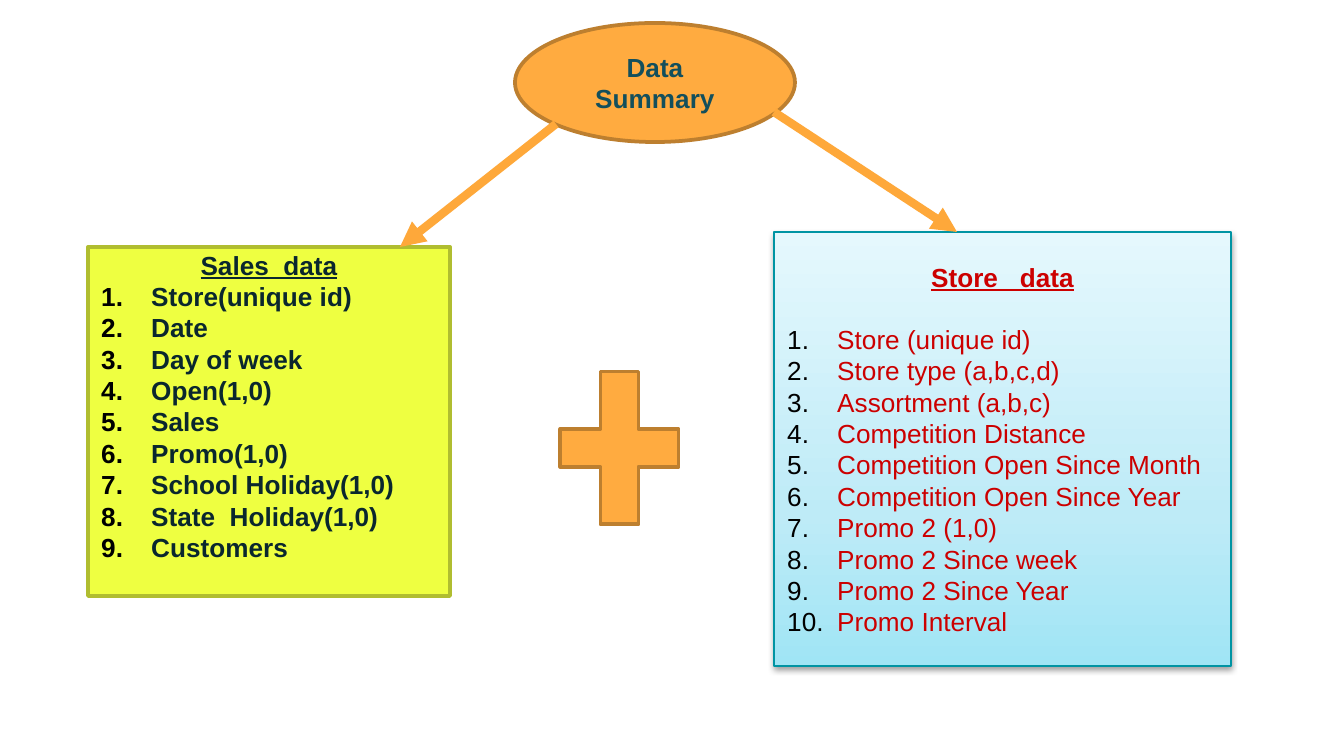
"""Build a slide that splits a data summary into sales and store fields."""
from copy import deepcopy
from dataclasses import dataclass

from lxml.etree import SubElement
from pptx import Presentation
from pptx.dml.color import RGBColor
from pptx.enum.shapes import MSO_CONNECTOR, MSO_SHAPE
from pptx.enum.text import MSO_ANCHOR, PP_ALIGN
from pptx.oxml.ns import qn
from pptx.util import Emu, Pt


@dataclass(frozen=True)
class Theme:
    font: str = "Arial"
    text_size: int = 14
    outline: float = 2
    thin_outline: float = 0.75
    arrow_width: float = 4.5
    orange: str = "FFAB40"
    orange_edge: str = "BD7F2F"
    arrow: str = "FEA83A"
    teal: str = "134F5C"
    lime: str = "EEFF41"
    lime_edge: str = "B0BD30"
    dark_teal: str = "0A272E"
    red: str = "CC0000"
    cyan_edge: str = "0094A3"
    black: str = "000000"
    cyan_stops: tuple = ((0, "A0E5F5"), (0.35, "BEEBF7"), (1, "E5F8FD"))


THEME = Theme()
EMU_PER_PX = 914400 / 134.4
LIST_INDENT = 50
LINE_HEIGHT = 31

SALES_FIELDS = [
    "Store(unique id)", "Date", "Day of week", "Open(1,0)", "Sales",
    "Promo(1,0)", "School Holiday(1,0)", "State  Holiday(1,0)", "Customers",
]
STORE_FIELDS = [
    "Store (unique id)", "Store type (a,b,c,d)", "Assortment (a,b,c)",
    "Competition Distance", "Competition Open Since Month",
    "Competition Open Since Year", "Promo 2 (1,0)", "Promo 2 Since week",
    "Promo 2 Since Year", "Promo Interval",
]


def px(length):
    return Emu(round(length * EMU_PER_PX))


def rgb(color):
    return RGBColor.from_string(color)


def add_box(slide, kind, bounds, fill, edge, width=THEME.outline):
    shape = slide.shapes.add_shape(kind, *map(px, bounds))
    shape.shadow.inherit = False
    if fill:
        shape.fill.solid()
        shape.fill.fore_color.rgb = rgb(fill)
    shape.line.color.rgb = rgb(edge)
    shape.line.width = Pt(width)
    frame = shape.text_frame
    frame.word_wrap = True
    frame.vertical_anchor = MSO_ANCHOR.MIDDLE
    return shape


def add_gradient(shape, stops):
    fill = shape.fill
    fill.gradient()
    fill.gradient_angle = 90
    stop_list = next(shape.element.iter(qn("a:gsLst")))
    stop_list.insert(1, deepcopy(stop_list[0]))
    for stop, (position, color) in zip(fill.gradient_stops, stops):
        stop.position = position
        stop.color.rgb = rgb(color)


def add_shadow(shape):
    effects = next(shape.element.iter(qn("a:effectLst")))
    shadow = SubElement(
        effects, qn("a:outerShdw"), blurRad=str(Pt(3.1)), dist=str(Pt(1.6)),
        dir="5400000", rotWithShape="0",
    )
    color = SubElement(shadow, qn("a:srgbClr"), val=THEME.black)
    SubElement(color, qn("a:alpha"), val="38000")


def add_run(paragraph, text, color, bold=True, underline=False):
    run = paragraph.add_run()
    run.text = text
    font = run.font
    font.name = THEME.font
    font.size = Pt(THEME.text_size)
    font.color.rgb = rgb(color)
    font.bold = bold
    font.underline = underline


def add_heading(shape, text, color, underline=False, gap=0):
    paragraph = shape.text_frame.paragraphs[0]
    paragraph.alignment = PP_ALIGN.CENTER
    if gap:
        paragraph.space_after = px(gap)
    add_run(paragraph, text, color, underline=underline)


def add_numbered_list(shape, items, color, bold):
    for item in items:
        paragraph = shape.text_frame.add_paragraph()
        paragraph.alignment = PP_ALIGN.LEFT
        add_run(paragraph, item, color, bold)
        properties = paragraph._p.get_or_add_pPr()
        properties.set("marL", str(px(LIST_INDENT)))
        properties.set("indent", str(-px(LIST_INDENT)))
        bullet_color = SubElement(properties, qn("a:buClr"))
        SubElement(bullet_color, qn("a:srgbClr"), val=THEME.black)
        SubElement(properties, qn("a:buFont"), typeface=THEME.font)
        SubElement(properties, qn("a:buAutoNum"), type="arabicPeriod")


def add_arrow(slide, start, end):
    arrow = slide.shapes.add_connector(
        MSO_CONNECTOR.STRAIGHT, *map(px, start + end)
    )
    arrow.line.color.rgb = rgb(THEME.arrow)
    arrow.line.width = Pt(THEME.arrow_width)
    line = next(arrow.element.iter(qn("a:ln")))
    SubElement(line, qn("a:tailEnd"), type="triangle")
    SubElement(arrow.element.spPr, qn("a:effectLst"))


def main():
    presentation = Presentation()
    presentation.slide_width = px(1344)
    presentation.slide_height = px(756)
    slide = presentation.slides.add_slide(presentation.slide_layouts[6])

    summary = add_box(slide, MSO_SHAPE.OVAL, (515, 23, 280, 119),
                      THEME.orange, THEME.orange_edge)
    add_heading(summary, "Data Summary", THEME.teal)

    sales = add_box(slide, MSO_SHAPE.RECTANGLE, (88, 247, 362, 349),
                    THEME.lime, THEME.lime_edge)
    sales.text_frame.margin_bottom = px(7 + LINE_HEIGHT)
    add_heading(sales, "Sales_data", THEME.dark_teal, underline=True)
    add_numbered_list(sales, SALES_FIELDS, THEME.dark_teal, bold=True)

    store = add_box(slide, MSO_SHAPE.RECTANGLE, (774, 232, 457, 434),
                    None, THEME.cyan_edge, THEME.thin_outline)
    add_gradient(store, THEME.cyan_stops)
    add_shadow(store)
    add_heading(store, "Store _data", THEME.red, underline=True,
                gap=LINE_HEIGHT)
    add_numbered_list(store, STORE_FIELDS, THEME.red, bold=False)

    add_arrow(slide, (556, 124), (400, 247))
    add_arrow(slide, (774, 112), (957, 232))
    add_box(slide, MSO_SHAPE.MATH_PLUS, (539, 344, 161, 208),
            THEME.orange, THEME.orange_edge)

    presentation.save("out.pptx")


if __name__ == "__main__":
    main()
